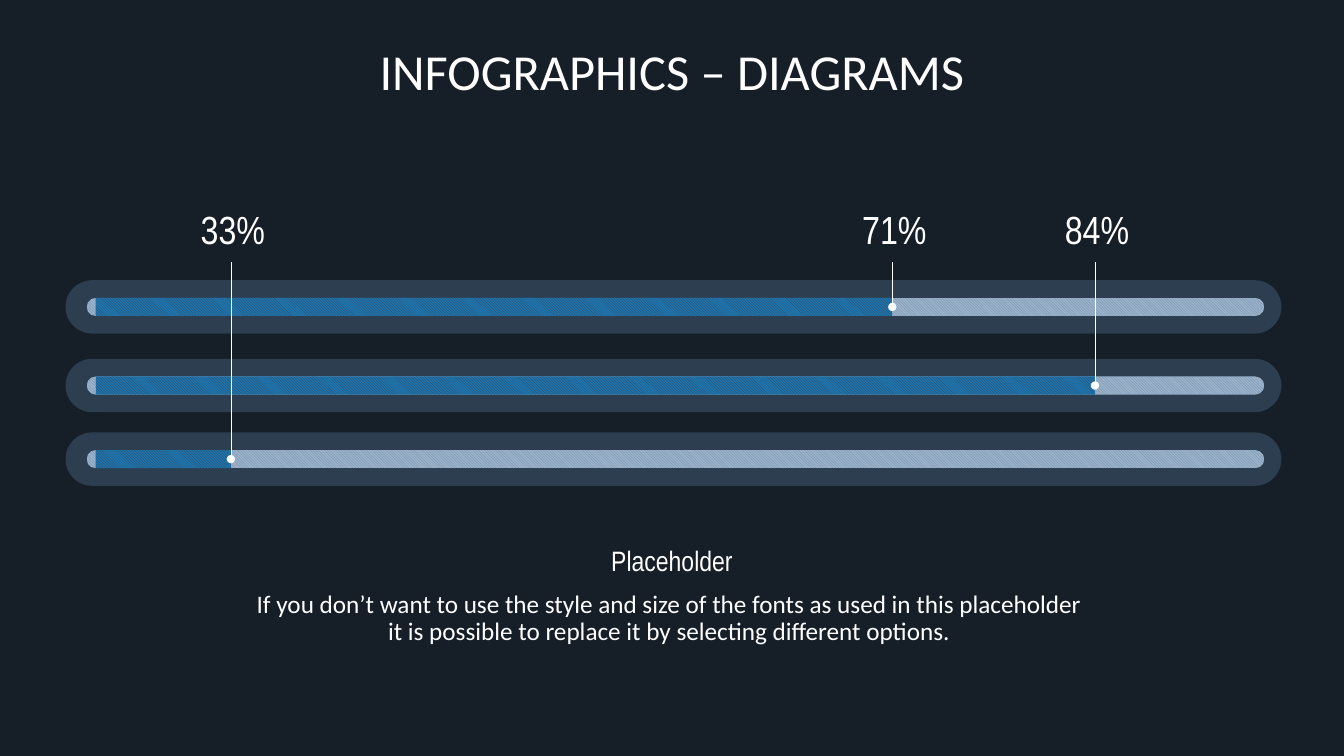
import math
from lxml import etree
from pptx import Presentation
from pptx import util as u
from pptx.dml.color import RGBColor
from pptx.enum import dml, shapes, text
from pptx.oxml.ns import qn

WIDTH, HEIGHT = 13.33, 7.5
WHITE, TRACK = "FFFFFF", "2C3E50"
DONE, REST = (TRACK, "1F74AD"), ("6A8BAD", "9BB2C8")


def color(hex_string):
    return RGBColor.from_string(hex_string)


def paint(shape, colors):
    """Fill with one colour, or with diagonal stripes for a pair."""
    shape.shadow.inherit = False
    shape.line.fill.background()
    if isinstance(colors, str):
        shape.fill.solid()
        shape.fill.fore_color.rgb = color(colors)
    else:
        shape.fill.patterned()
        shape.fill.pattern = dml.MSO_PATTERN.LIGHT_DOWNWARD_DIAGONAL
        shape.fill.fore_color.rgb, shape.fill.back_color.rgb = map(color, colors)


presentation = Presentation()
presentation.slide_width, presentation.slide_height = u.Inches(WIDTH), u.Inches(HEIGHT)
slide = presentation.slides.add_slide(presentation.slide_layouts[1])
slide.background.fill.solid()
slide.background.fill.fore_color.rgb = color("161F28")

# Title and caption
title, caption = slide.placeholders
title.text_frame.text = "INFOGRAPHICS – DIAGRAMS"
caption.text_frame.text = (
    "Placeholder\nIf you don’t want to use the style and size of the fonts as used in "
    "this placeholder \vit is possible to replace it by selecting different options. ")
for placeholder, top, height, inset, styles in (
        (title, 0.47, 1.18, 0, [("Calibri", 36, 0)]),
        (caption, 5.38, 0.97, 0.05, [("Arial Narrow", 20, 10), ("Calibri", 18, 10)])):
    placeholder.left, placeholder.width = u.Inches(0.59), u.Inches(12.15)
    placeholder.top, placeholder.height = u.Inches(top), u.Inches(height)
    frame = placeholder.text_frame
    frame.auto_size = text.MSO_AUTO_SIZE.NONE
    frame.vertical_anchor = text.MSO_ANCHOR.TOP
    frame.margin_top = frame.margin_bottom = u.Inches(inset)
    frame.margin_left = frame.margin_right = u.Inches(2 * inset)
    for paragraph, (font, size, after) in zip(frame.paragraphs, styles):
        properties = paragraph._p.get_or_add_pPr()
        properties.set("marL", "0")
        properties.set("indent", "0")
        etree.SubElement(properties, qn("a:buNone"))
        paragraph.alignment = text.PP_ALIGN.CENTER
        paragraph.line_spacing = 0.9
        paragraph.space_before, paragraph.space_after = u.Pt(0), u.Pt(after)
        for run in paragraph.runs:
            run.font.name, run.font.size = font, u.Pt(size)
            run.font.color.rgb = color(WHITE)

# Progress bars: label, top of the track, end of the filled part
TRACK_LEFT, TRACK_WIDTH, TRACK_HEIGHT = 0.65, 12.06, 0.53
BAR_LEFT, BAR_WIDTH, BAR_HEIGHT = 0.86, 11.68, 0.18
RADIUS = BAR_HEIGHT / 2
LABEL_TOP, LABEL_WIDTH, LABEL_HEIGHT = 1.99, 0.86, 0.61
ROUND, SQUARE = shapes.MSO_SHAPE.ROUNDED_RECTANGLE, shapes.MSO_SHAPE.RECTANGLE

for label, track_top, end in (("71%", 2.78, 8.85), ("84%", 3.56, 10.86), ("33%", 4.29, 2.29)):
    gauge = slide.shapes.add_group_shape().shapes
    middle = track_top + TRACK_HEIGHT / 2
    bar_top = middle - RADIUS
    cap_center = BAR_LEFT + RADIUS

    # Track, unfilled bar and filled bar
    for kind, left, top, width, height, colors in (
            (ROUND, TRACK_LEFT, track_top, TRACK_WIDTH, TRACK_HEIGHT, TRACK),
            (ROUND, BAR_LEFT, bar_top, BAR_WIDTH, BAR_HEIGHT, REST),
            (SQUARE, cap_center, bar_top, end - cap_center, BAR_HEIGHT, DONE)):
        part = gauge.add_shape(kind, *map(u.Inches, (left, top, width, height)))
        if kind == ROUND:
            part.adjustments[0] = 0.5
        paint(part, colors)

    # Rounded left cap of the filled bar
    arc = [(cap_center - RADIUS * math.sin(math.pi * step / 16),
            middle - RADIUS * math.cos(math.pi * step / 16)) for step in range(17)]
    builder = gauge.build_freeform(*arc[0], scale=u.Inches(1))
    builder.add_line_segments(arc[1:], close=True)
    paint(builder.convert_to_shape(), DONE)

    # Pointer with a round end
    pointer = gauge.add_connector(
        shapes.MSO_CONNECTOR.STRAIGHT,
        *map(u.Inches, (end, LABEL_TOP + LABEL_HEIGHT, end, middle)))
    pointer.line.width = u.Pt(0.5)
    pointer.line.color.rgb = color(WHITE)
    etree.SubElement(pointer.line._get_or_add_ln(), qn("a:tailEnd"), type="oval")
    etree.SubElement(pointer._element.spPr, qn("a:effectLst"))

    # Percentage
    box = gauge.add_textbox(*map(u.Inches, (end - 0.41, LABEL_TOP, LABEL_WIDTH, LABEL_HEIGHT)))
    frame = box.text_frame
    frame.word_wrap = True
    frame.vertical_anchor = text.MSO_ANCHOR.MIDDLE
    frame.margin_left = frame.margin_right = frame.margin_top = frame.margin_bottom = 0
    frame.text = label
    paragraph = frame.paragraphs[0]
    paragraph.alignment = text.PP_ALIGN.CENTER
    paragraph.line_spacing = 0.9
    paragraph.space_after = u.Pt(10)
    font = paragraph.runs[0].font
    font.name, font.size = "Arial Narrow", u.Pt(28)
    font.color.rgb = color(WHITE)

presentation.save("out.pptx")
